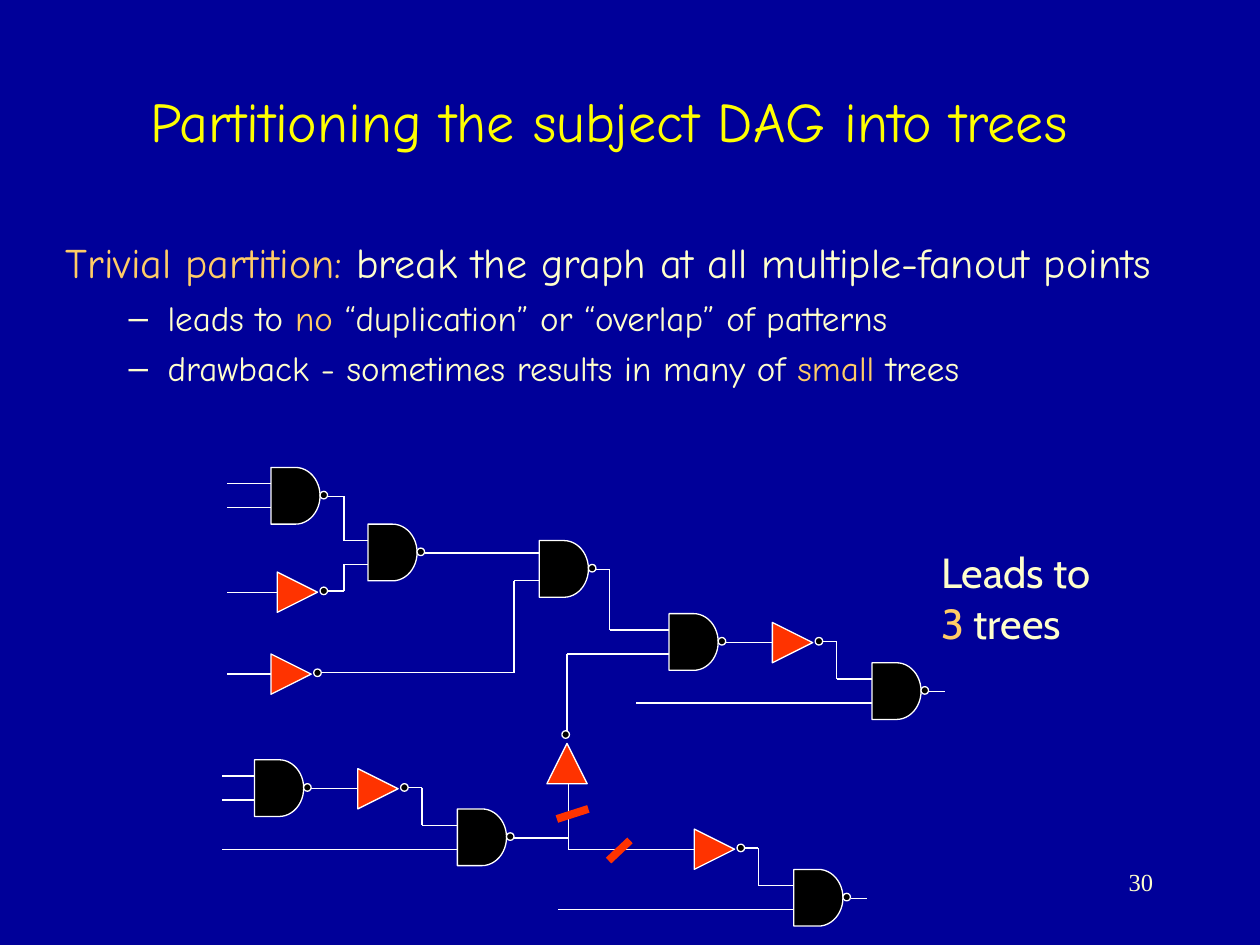
import itertools

import pptx
import pptx.dml.color
import pptx.enum.shapes
import pptx.enum.text
import pptx.oxml
import pptx.oxml.ns
import pptx.util
from pptx.util import Inches

COLORS = {
    "background": "000099",
    "title": "FFFF00",
    "text": "FFFFCC",
    "accent": "FFCC66",
    "wire": "FFFFFF",
    "gate": "000000",
    "inverter": "FF3300",
}
HAND_FONT = "Comic Neue"
BUBBLE = 0.06
SHAPES = pptx.enum.shapes.MSO_SHAPE


def rgb(name):
    return pptx.dml.color.RGBColor.from_string(COLORS[name])


def add_text(paragraph, text, *, size, font, color="text"):
    run = paragraph.add_run()
    run.text = text
    run.font.size = pptx.util.Pt(size)
    run.font.name = font
    run.font.color.rgb = rgb(color)


def place(shape, left, top, width, height):
    shape.left, shape.top = Inches(left), Inches(top)
    shape.width, shape.height = Inches(width), Inches(height)


def add_bullet_xml(paragraph, *elements):
    for xml in elements:
        namespace = pptx.oxml.ns.nsdecls("a")
        element = pptx.oxml.parse_xml(xml.replace("/>", f" {namespace}/>", 1)
                                      if xml.count("<") == 1
                                      else xml.replace(">", f" {namespace}>", 1))
        paragraph._p.get_or_add_pPr().append(element)


def set_indent(paragraph, margin, first_line):
    properties = paragraph._p.get_or_add_pPr()
    properties.set("marL", str(Inches(margin)))
    properties.set("indent", str(Inches(first_line)))


def add_title(slide):
    title = slide.shapes.title
    place(title, 0, 0.33, 9.67, 1.25)
    title.text_frame.vertical_anchor = pptx.enum.text.MSO_ANCHOR.MIDDLE
    title.text_frame.auto_size = pptx.enum.text.MSO_AUTO_SIZE.NONE
    heading = title.text_frame.paragraphs[0]
    heading.alignment = pptx.enum.text.PP_ALIGN.CENTER
    add_text(heading, "Partitioning the subject DAG into trees",
             size=32, font=HAND_FONT, color="title")


def add_partition_list(slide):
    body = slide.placeholders[1]
    place(body, 0.42, 1.83, 9.17, 2.08)
    frame = body.text_frame
    frame.auto_size = pptx.enum.text.MSO_AUTO_SIZE.NONE

    definition = frame.paragraphs[0]
    definition.space_before = pptx.util.Pt(6)
    set_indent(definition, 0.38, -0.38)
    add_bullet_xml(definition, "<a:buNone/>")
    add_text(definition, "Trivial partition:", size=24, font=HAND_FONT, color="accent")
    add_text(definition, " break the graph at all multiple-fanout points",
             size=24, font=HAND_FONT)

    consequences = [
        ("leads to ", "no", " “duplication” or “overlap” of patterns"),
        ("drawback - sometimes results in many of ", "small", " trees"),
    ]
    for before, stressed, after in consequences:
        consequence = frame.add_paragraph()
        consequence.level = 1
        consequence.space_before = pptx.util.Pt(5)
        set_indent(consequence, 0.81, -0.31)
        add_bullet_xml(consequence,
                       f'<a:buClr><a:srgbClr val="{COLORS["text"]}"/></a:buClr>',
                       '<a:buChar char="–"/>')
        for words, color in ((before, "text"), (stressed, "accent"), (after, "text")):
            add_text(consequence, words, size=20, font=HAND_FONT, color=color)


def add_part(slide, preset, left, top, width, height, fill, rotation=0):
    part = slide.shapes.add_shape(preset, Inches(left), Inches(top),
                                  Inches(width), Inches(height))
    part.shadow.inherit = False
    part.rotation = rotation
    part.fill.solid()
    part.fill.fore_color.rgb = rgb(fill)
    part.line.color.rgb = rgb("wire")
    part.line.width = pptx.util.Pt(0.75)


def add_bubble(slide, left, top):
    add_part(slide, SHAPES.OVAL, left, top, BUBBLE, BUBBLE, "gate")


def add_nand(slide, left, top):
    """Draw a NAND gate; return its upper input, lower input and output points."""
    add_part(slide, SHAPES.FLOWCHART_DELAY, left, top, 0.39, 0.45, "gate")
    add_bubble(slide, left + 0.39, top + 0.19)
    return (left, top + 0.13), (left, top + 0.32), (left + 0.45, top + 0.23)


def add_inverter(slide, left, top):
    """Draw an inverter pointing right; return its input and output points."""
    add_part(slide, SHAPES.ISOSCELES_TRIANGLE, left, top, 0.32, 0.32, "inverter", 90)
    add_bubble(slide, left + 0.34, top + 0.12)
    return (left, top + 0.16), (left + 0.4, top + 0.15)


def add_wire(slide, *points, color="wire", width=0.75):
    """Draw straight segments through the points."""
    for start, end in itertools.pairwise(points):
        segment = slide.shapes.add_connector(
            pptx.enum.shapes.MSO_CONNECTOR.STRAIGHT, *map(Inches, start + end))
        segment.line.color.rgb = rgb(color)
        segment.line.width = pptx.util.Pt(width)
        segment._element.spPr.append(pptx.oxml.parse_xml(
            f'<a:effectLst {pptx.oxml.ns.nsdecls("a")}/>'))


def add_level_wire(slide, pin, x):
    add_wire(slide, pin, (x, pin[1]))


def add_bent_wire(slide, start, end, bend):
    add_wire(slide, start, (bend, start[1]), (bend, end[1]), end)


def add_upper_circuit(slide):
    """Draw the upper gates; return the input fed by the fanout point."""
    first_a, first_b, first_out = add_nand(slide, 2.15, 3.71)
    second_a, second_b, second_out = add_nand(slide, 2.92, 4.16)
    _, third_b, third_out = add_nand(slide, 4.28, 4.29)
    fourth_a, fourth_b, fourth_out = add_nand(slide, 5.31, 4.87)
    last_a, last_b, last_out = add_nand(slide, 6.92, 5.26)
    second_inv_in, second_inv_out = add_inverter(slide, 2.2, 4.54)
    third_inv_in, third_inv_out = add_inverter(slide, 2.15, 5.19)
    last_inv_in, last_inv_out = add_inverter(slide, 6.13, 4.94)

    for pin in (first_a, first_b, second_inv_in, third_inv_in):
        add_level_wire(slide, pin, 1.8)
    add_bent_wire(slide, first_out, second_a, 2.73)
    add_bent_wire(slide, second_inv_out, second_b, 2.73)
    add_level_wire(slide, second_out, 4.28)
    add_bent_wire(slide, third_inv_out, third_b, 4.08)
    add_bent_wire(slide, third_out, fourth_a, 4.84)
    add_wire(slide, fourth_out, last_inv_in)
    add_bent_wire(slide, last_inv_out, last_a, 6.64)
    add_level_wire(slide, last_b, 5.05)
    add_level_wire(slide, last_out, 7.5)
    return fourth_b


def add_lower_circuit(slide, upper_input):
    source_a, source_b, source_out = add_nand(slide, 2.02, 6.03)
    fanout_a, fanout_b, fanout_out = add_nand(slide, 3.63, 6.42)
    sink_a, sink_b, sink_out = add_nand(slide, 6.3, 6.9)
    source_inv_in, source_inv_out = add_inverter(slide, 2.84, 6.1)
    sink_inv_in, sink_inv_out = add_inverter(slide, 5.51, 6.58)
    add_part(slide, SHAPES.ISOSCELES_TRIANGLE, 4.34, 5.9, 0.32, 0.32, "inverter")
    add_bubble(slide, 4.46, 5.8)

    for pin in (source_a, source_b, fanout_b):
        add_level_wire(slide, pin, 1.76)
    add_wire(slide, source_out, source_inv_in)
    add_bent_wire(slide, source_inv_out, fanout_a, 3.35)
    add_wire(slide, fanout_out, (4.51, 6.65), (4.51, 6.22))
    add_wire(slide, (4.51, 6.65), (4.51, sink_inv_in[1]), sink_inv_in)
    add_wire(slide, (4.5, 5.8), (4.5, upper_input[1]), upper_input)
    add_bent_wire(slide, sink_inv_out, sink_a, 6.02)
    add_level_wire(slide, sink_b, 4.43)
    add_level_wire(slide, sink_out, 6.88)
    for cut in (((4.42, 6.5), (4.67, 6.42)), ((4.83, 6.83), (5, 6.67))):
        add_wire(slide, *cut, color="inverter", width=4.5)


def add_text_box(slide, left, top, width, height, wrap=True):
    box = slide.shapes.add_textbox(Inches(left), Inches(top),
                                   Inches(width), Inches(height))
    box.text_frame.word_wrap = wrap
    return box.text_frame


def main():
    deck = pptx.Presentation()
    deck.slide_width, deck.slide_height = Inches(10), Inches(7.5)
    slide = deck.slides.add_slide(deck.slide_layouts[1])
    slide.background.fill.solid()
    slide.background.fill.fore_color.rgb = rgb("background")

    add_title(slide)
    add_partition_list(slide)
    add_lower_circuit(slide, add_upper_circuit(slide))

    result = add_text_box(slide, 7.37, 4.29, 1.61, 0.9, wrap=False)
    add_text(result.paragraphs[0], "Leads to", size=24, font="Cabin")
    tree_count = result.add_paragraph()
    add_text(tree_count, "3", size=24, font="Cabin", color="accent")
    add_text(tree_count, " trees", size=24, font="Cabin")

    page_number = add_text_box(slide, 7.17, 6.83, 2.08, 0.5).paragraphs[0]
    page_number.alignment = pptx.enum.text.PP_ALIGN.RIGHT
    add_text(page_number, "30", size=14, font="Times New Roman")
    deck.save("out.pptx")


if __name__ == "__main__":
    main()
